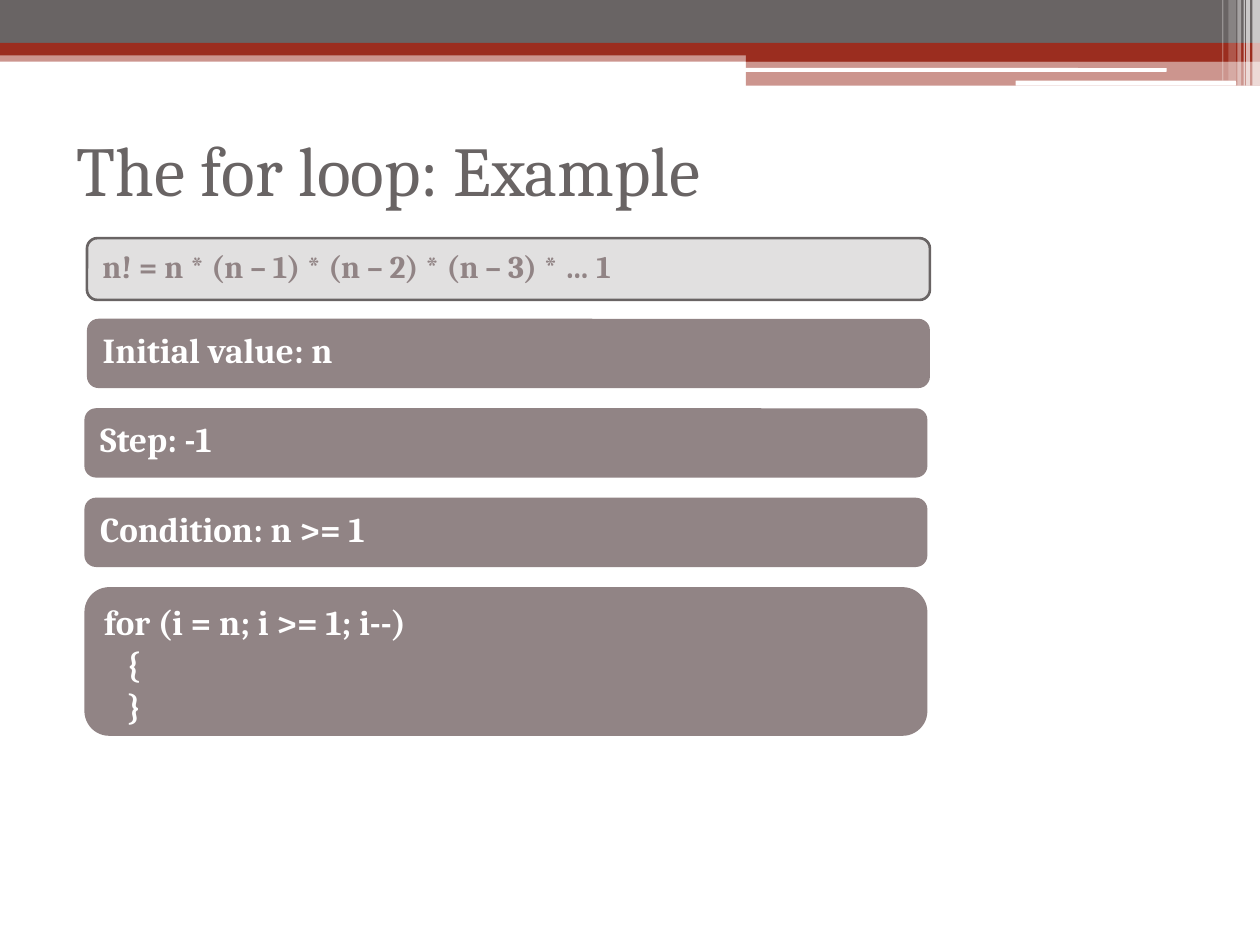
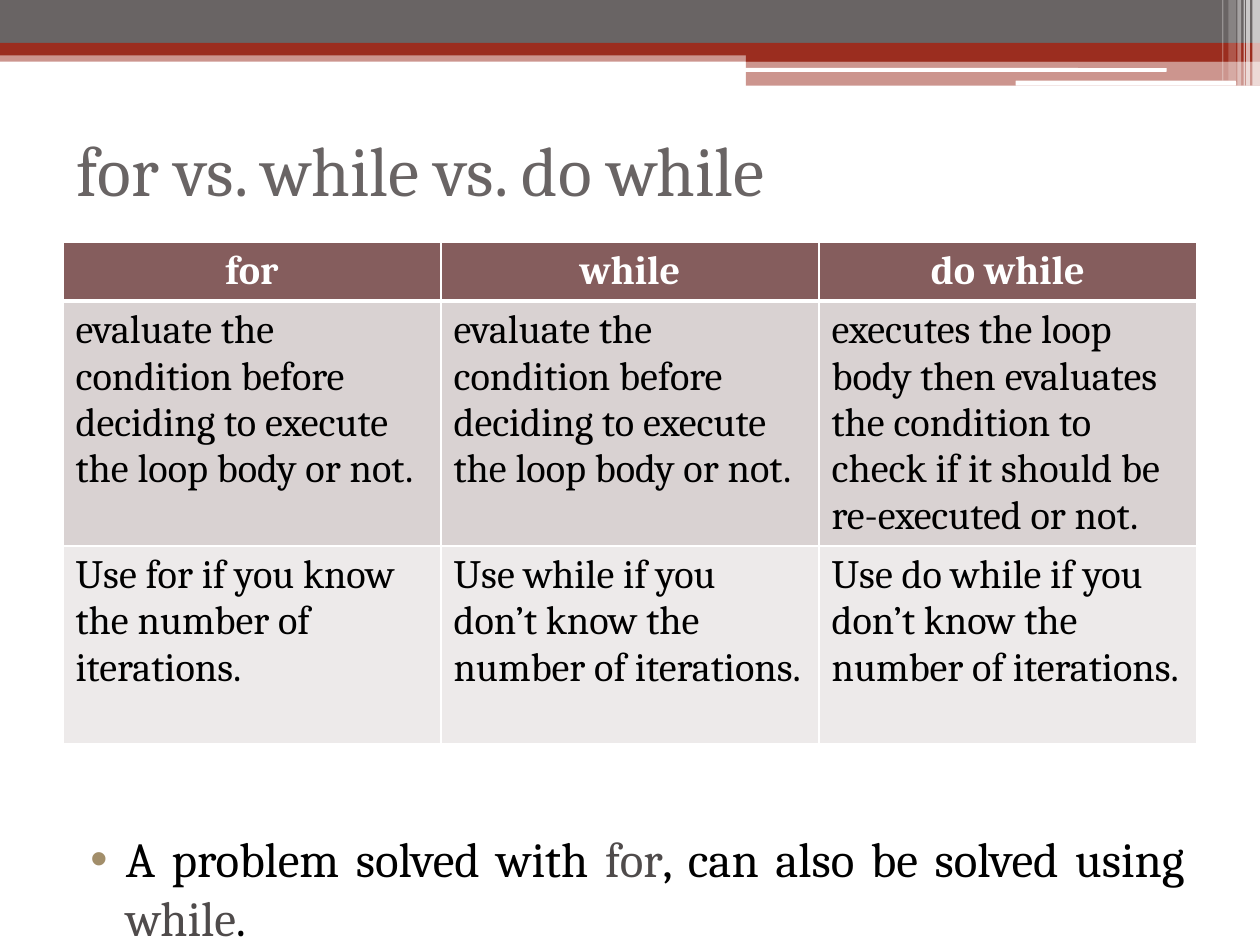
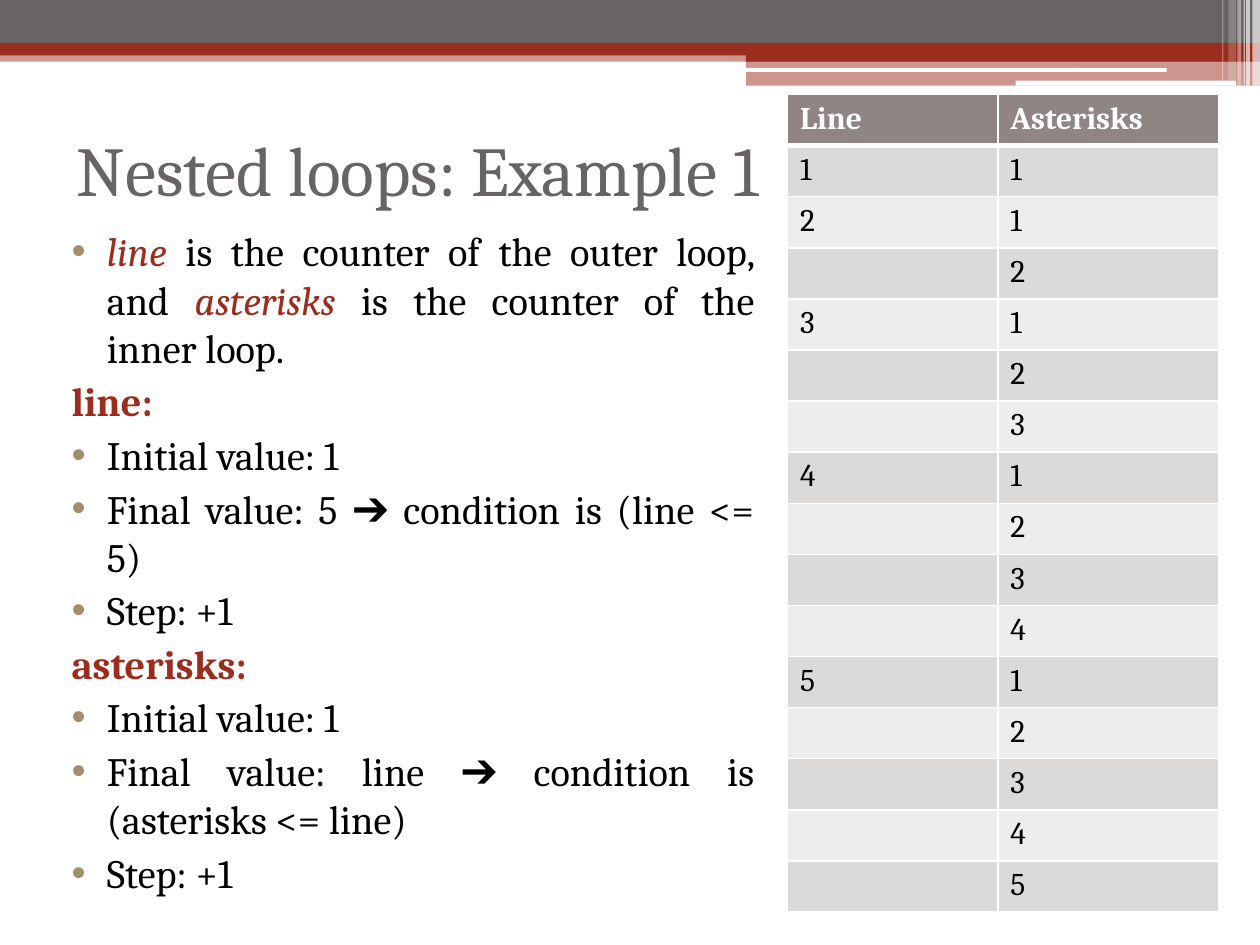
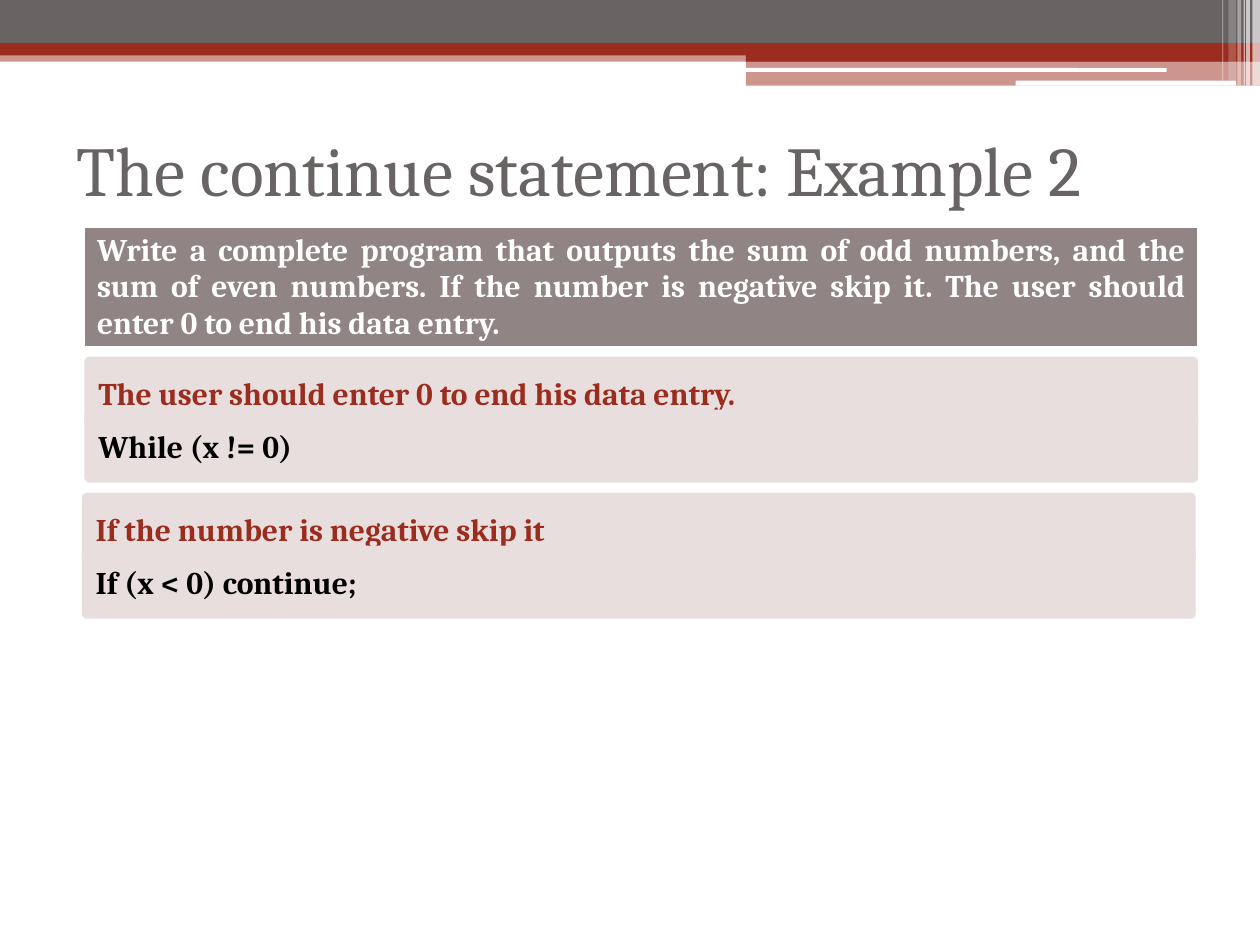
"""Build four slides on loops in programming, sharing one banded layout."""
from dataclasses import dataclass

from lxml import etree
from pptx import Presentation
from pptx import util as u
from pptx.dml.color import RGBColor
from pptx.enum import shapes, text
from pptx.oxml.ns import qn


@dataclass(frozen=True)
class Theme:
    font: str = "Cambria"
    white: str = "FFFFFF"
    black: str = "000000"
    slate: str = "696464"
    brick: str = "9B2D1F"
    mauve: str = "918485"
    plum: str = "855D5D"
    silver: str = "E1E0E0"
    blush: str = "E8DEDE"
    keyword: str = "4F4B4B"
    bullet: str = "A28E6A"
    loop_rows: tuple = ("D9D2D2", "EDEAEA")
    count_rows: tuple = ("DCD9D9", "EEEDED")
    title_size: int = 40
    closing_size: int = 28
    body_size: int = 23
    step_size: int = 20
    small_size: int = 18


T = Theme()
RECT = shapes.MSO_SHAPE.RECTANGLE
ROUND = shapes.MSO_SHAPE.ROUNDED_RECTANGLE
JUSTIFY = text.PP_ALIGN.JUSTIFY
MIDDLE = text.MSO_ANCHOR.MIDDLE

BANDS = [
    (RECT, (0, 0.4, 10, 0.09), T.brick, 50),
    (RECT, (0, 0, 10, 0.34), T.slate, 100),
    (RECT, (0, 0.34, 10, 0.1), T.brick, 100),
    (RECT, (5.92, 0.39, 4.08, 0.1), T.brick, 100),
    (RECT, (5.92, 0.48, 4.08, 0.2), T.brick, 50),
    (ROUND, (5.91, 0.54, 3.35, 0.03), T.white, 100),
    (ROUND, (8.06, 0.64, 1.75, 0.04), T.white, 100),
    (RECT, (9.94, 0, 0.06, 0.68), T.white, 65),
    (RECT, (9.89, 0, 0.03, 0.68), T.white, 65),
    (RECT, (9.87, 0, 0.01, 0.68), T.white, 60),
    (RECT, (9.82, 0, 0.03, 0.68), T.white, 40),
    (RECT, (9.75, 0, 0.06, 0.64), T.white, 20),
    (RECT, (9.7, 0, 0.01, 0.64), T.white, 30),
]

FACTORIAL = "n! = n * (n – 1) * (n – 2) * (n – 3) * … 1"
FOR_STEPS = [
    (0.69, 0.55, ["Initial value: n"]),
    (0.67, 0.55, ["Step: -1"]),
    (0.67, 0.55, ["Condition: n >= 1"]),
    (0.67, 1.18, ["for (i = n; i >= 1; i--)", "   {", "   }"]),
]

CHECK_FIRST = "evaluate the condition before deciding to execute the loop body or not."
LOOP_KINDS = [
    ["for", "while", "do while"],
    [CHECK_FIRST, CHECK_FIRST,
     "executes the loop body then evaluates the condition to check if it should be "
     "re-executed or not."],
    ["Use for if you know the number of iterations.",
     "Use while if you don’t know the number of iterations.",
     "Use do while if you don’t know the number of iterations."],
]
KEYWORD = {"color": T.keyword}
CLOSING = [["A problem solved with ", ("for", KEYWORD), ", can also be solved using ",
            ("while", KEYWORD), "."]]

COUNTER = {"color": T.brick, "italic": True}
HEADING = {"color": T.brick, "bold": True}
NESTED_NOTES = [
    [("line ", COUNTER), "is the counter of the outer loop, and ",
     ("asterisks ", COUNTER), "is the counter of the inner loop."],
    [("line:", HEADING)],
    "Initial value: 1",
    "Final value: 5 ➔ condition is (line <= 5)",
    "Step: +1",
    [("asterisks:", HEADING)],
    "Initial value: 1",
    "Final value: line ➔ condition is (asterisks <= line)",
    "Step: +1",
]
LINE_COUNTS = [["Line", "Asterisks"]] + [
    [str(line) if asterisk == 1 else "", str(asterisk)]
    for line in range(1, 6) for asterisk in range(1, line + 1)]

TASK = ("Write a complete program that outputs the sum of odd numbers, and the sum of even "
        "numbers. If the number is negative skip it. The user should enter 0 to end his data "
        "entry.")
HINTS = [
    (0.67, "The user should enter 0 to end his data entry.", "While (x != 0)"),
    (0.65, "If the number is negative skip it", "If (x < 0) continue;"),
]


def box(at):
    return [u.Inches(length) for length in at]


def write(frame, paragraphs, size=T.small_size, color=T.black, bold=False, align=None,
          anchor=None, bulleted=False):
    """Fill a text frame; a paragraph is a string or a list of strings and (text, format)."""
    frame.word_wrap = True
    if anchor is not None:
        frame.vertical_anchor = anchor
    for index, content in enumerate(paragraphs):
        paragraph = frame.add_paragraph() if index else frame.paragraphs[0]
        paragraph.alignment = align or text.PP_ALIGN.LEFT
        runs = [content] if isinstance(content, str) else content
        if bulleted:
            indent(paragraph, is_heading=runs[0][1] is HEADING)
            if index:
                paragraph.space_before = u.Pt(3)
        for part in filter(None, runs):
            words, extra = (part, {}) if isinstance(part, str) else part
            run = paragraph.add_run()
            run.text = words
            run.font.name = T.font
            run.font.size = u.Pt(size)
            run.font.bold = extra.get("bold", bold)
            run.font.italic = extra.get("italic", False)
            run.font.color.rgb = RGBColor.from_string(extra.get("color", color))


def indent(paragraph, is_heading):
    left, hanging = (0.12, 0) if is_heading else (0.4, -0.28)
    properties = paragraph._p.get_or_add_pPr()
    properties.set("marL", str(u.Inches(left)))
    properties.set("indent", str(u.Inches(hanging)))
    if is_heading:
        etree.SubElement(properties, qn("a:buNone"))
        return
    tint = etree.SubElement(properties, qn("a:buClr"))
    etree.SubElement(tint, qn("a:srgbClr"), val=T.bullet)
    etree.SubElement(properties, qn("a:buFont"), typeface="Arial")
    etree.SubElement(properties, qn("a:buChar"), char="•")


def add_panel(slide, kind, at, fill, outline=None, opacity=100, corner=None):
    panel = slide.shapes.add_shape(kind, *box(at))
    panel.shadow.inherit = False
    panel.fill.solid()
    panel.fill.fore_color.rgb = RGBColor.from_string(fill)
    if outline:
        panel.line.color.rgb = RGBColor.from_string(outline)
        panel.line.width = u.Pt(1.5)
    else:
        panel.line.fill.background()
    if opacity < 100:
        tint = panel.element.spPr.find(f".//{qn('a:srgbClr')}")
        etree.SubElement(tint, qn("a:alpha"), val=str(opacity * 1000))
    if corner is not None:
        panel.adjustments[0] = corner
    return panel


def add_notes(slide, at, paragraphs, size):
    notes = slide.shapes.add_textbox(*box(at))
    write(notes.text_frame, paragraphs, size=size, align=JUSTIFY, bulleted=True)


def set_borders(cell, row):
    properties = cell._tc.get_or_add_tcPr()
    widths = {"L": 1, "R": 1, "T": 3 if row == 1 else 1, "B": 3 if row == 0 else 1}
    for place, (side, width) in enumerate(widths.items()):
        edge = etree.Element(qn(f"a:ln{side}"), w=str(u.Pt(width)))
        ink = etree.SubElement(edge, qn("a:solidFill"))
        etree.SubElement(ink, qn("a:srgbClr"), val=T.white)
        properties.insert(place, edge)


def add_grid(slide, corner, widths, heights, rows, header, stripes=(), size=T.small_size,
             header_align=None):
    at = (*corner, sum(widths), sum(heights))
    grid = slide.shapes.add_table(len(rows), len(widths), *box(at)).table
    for column, width in zip(grid.columns, widths):
        column.width = u.Inches(width)
    for r, (entries, height) in enumerate(zip(rows, heights)):
        grid.rows[r].height = u.Inches(height)
        is_header = r == 0
        for c, entry in enumerate(entries):
            cell = grid.cell(r, c)
            cell.fill.solid()
            cell.fill.fore_color.rgb = RGBColor.from_string(
                header if is_header else stripes[(r - 1) % len(stripes)])
            set_borders(cell, r)
            write(cell.text_frame, [entry], size=size, bold=is_header,
                  color=T.white if is_header else T.black,
                  align=header_align if is_header else None)


def add_bands(layout, slide):
    """Draw the bands and move them behind everything in the shared layout."""
    for index, (kind, at, fill, opacity) in enumerate(BANDS):
        band = add_panel(slide, kind, at, fill, opacity=opacity).element
        band.nvSpPr.cNvPr.set("id", str(101 + index))
        layout.shapes.element.insert(2 + index, band)


def add_slide(prs, layout, heading):
    slide = prs.slides.add_slide(layout)
    title = slide.shapes.title
    title.left, title.top, title.width, title.height = box((0.51, 0.75, 9, 1.17))
    write(title.text_frame, [heading], size=T.title_size, color=T.slate, anchor=MIDDLE)
    return slide


def fill_for_example(slide):
    top, gap = 2.53, 0.16
    for left, height, lines in FOR_STEPS:
        step = add_panel(slide, ROUND, (left, top, 6.69, height), T.mauve)
        write(step.text_frame, lines, size=T.step_size, color=T.white, bold=True,
              anchor=text.MSO_ANCHOR.TOP)
        top += height + gap
    formula = add_panel(slide, ROUND, (0.69, 1.89, 6.69, 0.49), T.silver, outline=T.slate)
    write(formula.text_frame, [FACTORIAL], color=T.mauve, bold=True,
          anchor=text.MSO_ANCHOR.TOP)


def fill_comparison(slide):
    add_grid(slide, (0.5, 1.92), [3] * 3, [0.46, 1.94, 1.57], LOOP_KINDS, T.plum, T.loop_rows,
             size=T.body_size, header_align=text.PP_ALIGN.CENTER)
    add_notes(slide, (0.5, 6.53, 9, 0.97), CLOSING, T.closing_size)


def fill_nested_loops(slide):
    add_notes(slide, (0.35, 1.75, 5.74, 5.25), NESTED_NOTES, T.body_size)
    count = len(LINE_COUNTS)
    add_grid(slide, (6.25, 0.75), [1.67, 1.75], [6.49 / count] * count, LINE_COUNTS,
             T.mauve, T.count_rows)


def fill_continue_example(slide):
    add_grid(slide, (0.67, 1.8), [8.84], [0.94], [[TASK]], T.mauve, header_align=JUSTIFY)
    for pair, (left, *lines) in enumerate(HINTS):
        for row, (line, color) in enumerate(zip(lines, (T.brick, T.black))):
            at = (left, 2.83 + 1.08 * pair + 0.42 * row, 8.84, 0.58)
            hint = add_panel(slide, ROUND, at, T.blush, corner=0.07)
            write(hint.text_frame, [line], color=color, bold=True, anchor=MIDDLE,
                  align=None if row else JUSTIFY)


SLIDES = [
    ("The for loop: Example", fill_for_example),
    ("for vs. while vs. do while", fill_comparison),
    ("Nested loops: Example 1", fill_nested_loops),
    ("The continue statement: Example 2", fill_continue_example),
]


def main():
    prs = Presentation()
    prs.slide_width, prs.slide_height = u.Inches(10), u.Inches(7.5)
    layout = prs.slide_layouts[5]
    for number, (heading, fill_content) in enumerate(SLIDES):
        slide = add_slide(prs, layout, heading)
        if number == 0:
            add_bands(layout, slide)
        fill_content(slide)
    prs.save("out.pptx")


if __name__ == "__main__":
    main()
